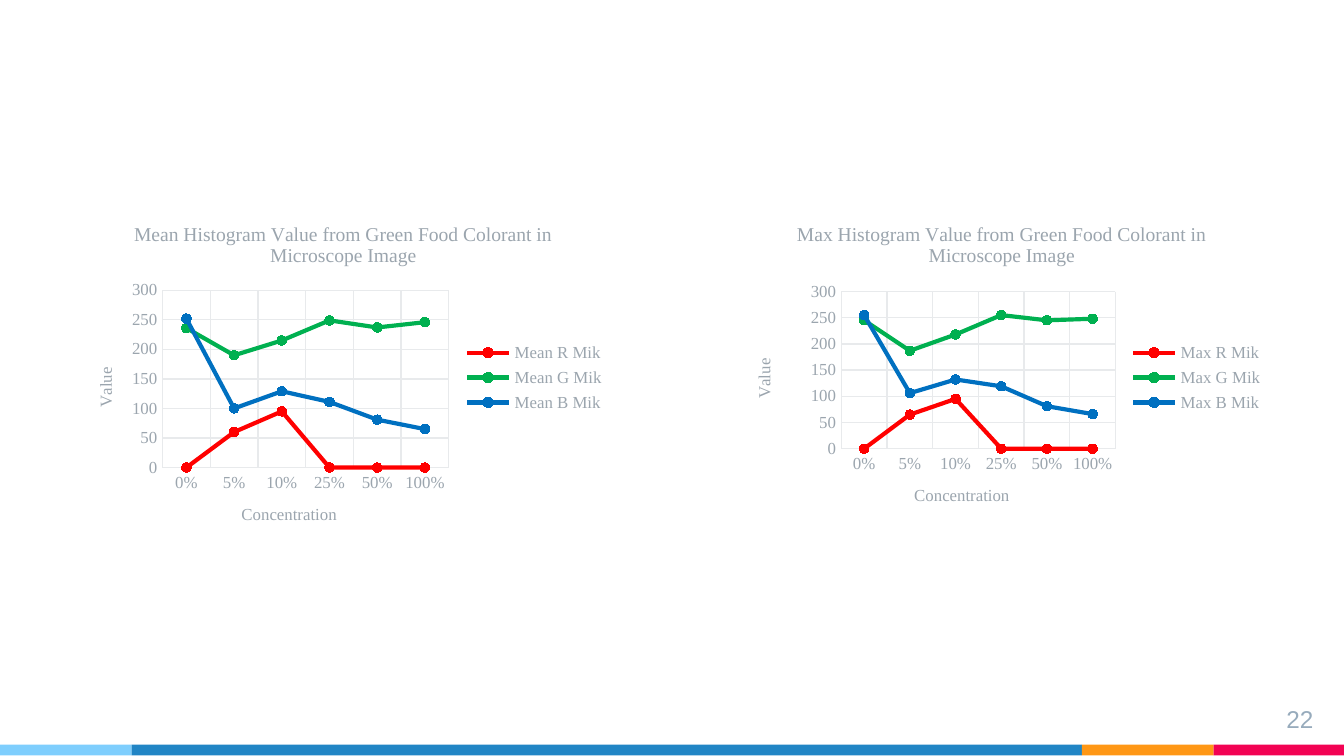
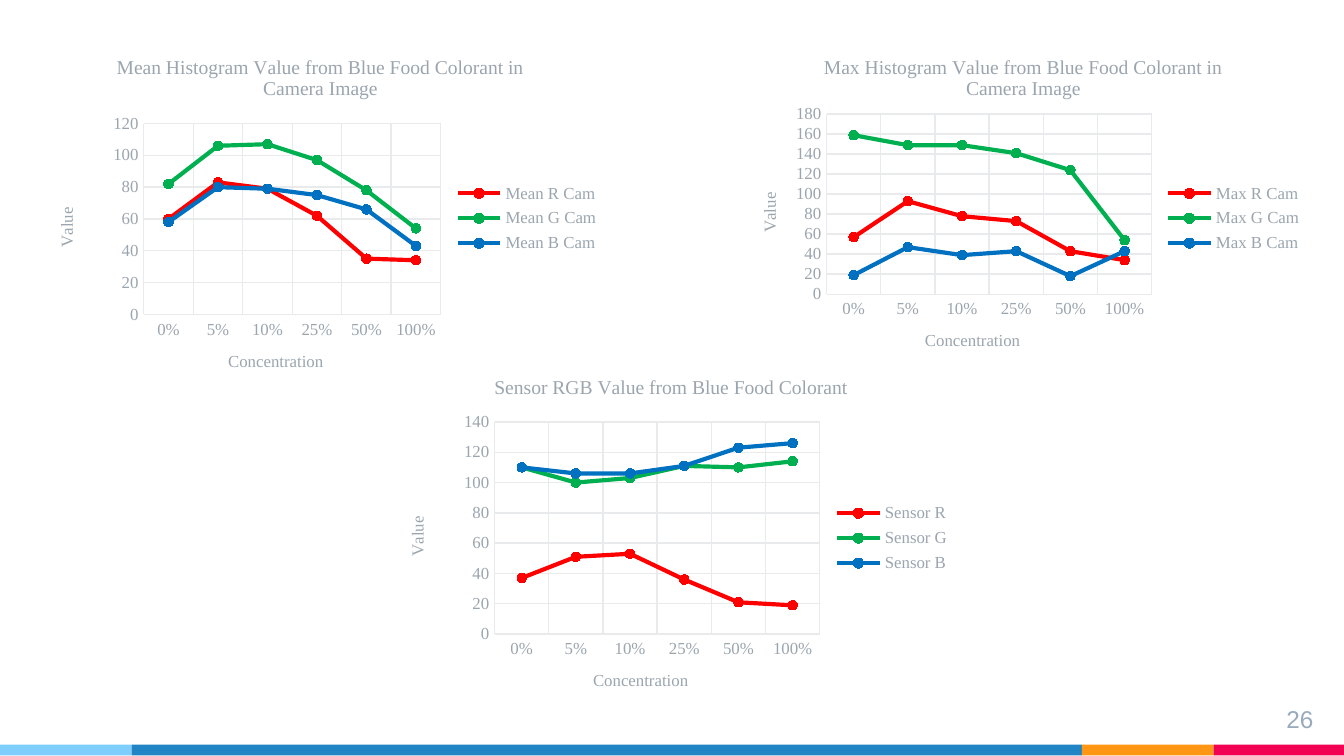
from pptx import Presentation
from pptx.chart.data import CategoryChartData as ChartData
from pptx.dml.color import RGBColor
from pptx.enum.chart import (XL_CHART_TYPE as ChartType, XL_LEGEND_POSITION as LegendPosition,
                             XL_MARKER_STYLE as Marker, XL_TICK_MARK as Tick)
from pptx.enum.shapes import MSO_SHAPE as Shape
from pptx.enum.text import PP_ALIGN as Align
from pptx.oxml import parse_xml
from pptx.oxml.ns import nsdecls, qn
from pptx.util import Inches, Pt

COLORS = {"sky": "7ECEFD", "blue": "2185C5", "orange": "FF9715", "pink": "F20253",
          "number": "97ABBC", "base": "677480", "label": "9BA5AE", "grid": "E8EAEC"}
CHANNELS = {"R": "FF0000", "G": "00B050", "B": "0070C0"}
SERIF = "Times New Roman"
CONCENTRATIONS = [0, 0.05, 0.1, 0.25, 0.5, 1]
BANDS = [("sky", 0.98), ("blue", 7.07), ("orange", 0.98), ("pink", 0.97)]


def style(font, size=9, color=COLORS["label"], name=SERIF):
    font.size, font.name, font.bold = Pt(size), name, False
    font.color.rgb = RGBColor.from_string(color)


def lay_out(element, index, **fractions):
    """Give a chart part a fixed place, in fractions of the chart frame."""
    for old in element.findall(qn("c:layout")):
        element.remove(old)
    target = '<c:layoutTarget val="inner"/>' if "w" in fractions else ""
    modes = "".join(f'<c:{key}Mode val="edge"/>' for key in "xy")
    values = "".join(f'<c:{key} val="{value:.4f}"/>' for key, value in fractions.items())
    element.insert(index, parse_xml(
        f'<c:layout {nsdecls("c")}><c:manualLayout>{target}{modes}{values}'
        "</c:manualLayout></c:layout>"))


# Per chart: title, frame and plot area (inches on the page), distance of the
# value title from the plot, axis maximum and step, series name pattern, values
PAGES = [
    ("22", [
        ("Mean Histogram Value from Green Food Colorant in Microscope Image",
         (0.51, 1.52, 4.09, 2.58), (1.21, 2.16, 2.13, 1.32), 0.41, 300, 50, "Mean {} Mik",
         [(0, 60, 95, 0, 0, 0), (236, 190, 215, 249, 237, 246), (252, 100, 129, 111, 81, 65)]),
        ("Max Histogram Value from Green Food Colorant in Microscope Image",
         (5.41, 1.52, 4.09, 2.58), (6.26, 2.17, 2.04, 1.17), 0.56, 300, 50, "Max {} Mik",
         [(0, 65, 95, 0, 0, 0), (245, 187, 218, 255, 245, 248), (255, 106, 132, 119, 81, 66)]),
    ]),
    ("26", [
        ("Mean Histogram Value from Blue Food Colorant in Camera Image",
         (0.21, 0.28, 4.35, 2.69), (1.07, 0.92, 2.21, 1.42), 0.56, 120, 20, "Mean {} Cam",
         [(60, 83, 79, 62, 35, 34), (82, 106, 107, 97, 78, 54), (58, 80, 79, 75, 66, 43)]),
        ("Max Histogram Value from Blue Food Colorant in Camera Image",
         (5.44, 0.28, 4.35, 2.69), (6.15, 0.85, 2.42, 1.34), 0.41, 180, 20, "Max {} Cam",
         [(57, 93, 78, 73, 43, 34), (159, 149, 149, 141, 124, 54), (19, 47, 39, 43, 18, 43)]),
        ("Sensor RGB Value from Blue Food Colorant",
         (2.82, 2.66, 4.35, 2.69), (3.68, 3.14, 2.42, 1.58), 0.56, 140, 20, "Sensor {}",
         [(37, 51, 53, 36, 21, 19), (110, 100, 103, 111, 110, 114),
          (110, 106, 106, 111, 123, 126)]),
    ]),
]

deck = Presentation()
deck.slide_width = Inches(10)
deck.slide_height = deck.slide_width * 9 // 16

for number, charts in PAGES:
    page = deck.slides.add_slide(deck.slide_layouts[6])

    # Colour bands along the bottom edge
    band_left = 0
    for color, band_width in BANDS:
        band = page.shapes.add_shape(Shape.RECTANGLE, Inches(band_left), Inches(5.54),
                                     Inches(band_width), Inches(0.08))
        band.shadow.inherit = False
        band.fill.solid()
        band.fill.fore_color.rgb = RGBColor.from_string(COLORS[color])
        band.line.fill.background()
        band_left += band_width

    # Page number
    box = page.shapes.add_textbox(Inches(9.27), Inches(5.14), Inches(0.6), Inches(0.34))
    frame = box.text_frame
    frame.word_wrap = True
    frame.margin_left = frame.margin_right = Inches(0.1)
    frame.margin_top = frame.margin_bottom = Inches(0.1)
    para = frame.paragraphs[0]
    para.alignment = Align.RIGHT
    span = para.add_run()
    span.text = number
    style(span.font, 13, COLORS["number"], "Arial")

    for title, area, plot, value_gap, maximum, step, pattern, rows in charts:
        # Chart and data
        data = ChartData()
        data.categories = CONCENTRATIONS
        data.categories.number_format = "0%"
        for channel, values in zip(CHANNELS, rows):
            data.add_series(pattern.format(channel), values)
        chart = page.shapes.add_chart(ChartType.LINE_MARKERS,
                                      *[Inches(length) for length in area], data).chart
        style(chart.font, color=COLORS["base"])

        # Series
        for series, color in zip(chart.plots[0].series, CHANNELS.values()):
            rgb = RGBColor.from_string(color)
            series.smooth = False
            series.format.line.width = Pt(2.25)
            series.format.line.color.rgb = rgb
            series.marker.style, series.marker.size = Marker.CIRCLE, 5
            series.marker.format.fill.solid()
            series.marker.format.fill.fore_color.rgb = rgb
            series.marker.format.line.color.rgb = rgb

        # Legend
        chart.has_legend = True
        chart.legend.position = LegendPosition.RIGHT
        chart.legend.include_in_layout = False
        style(chart.legend.font)

        # Axes and titles
        category_axis, value_axis = chart.category_axis, chart.value_axis
        for axis in (category_axis, value_axis):
            axis.major_tick_mark = axis.minor_tick_mark = Tick.NONE
            style(axis.tick_labels.font)
            axis.has_major_gridlines = True
            grid = axis.major_gridlines.format.line
            grid.color.rgb, grid.width = RGBColor.from_string(COLORS["grid"]), Pt(0.75)
        category_axis.tick_labels.number_format = "0%"
        category_axis.tick_labels.number_format_is_linked = False
        category_axis.format.line.color.rgb = RGBColor.from_string(COLORS["grid"])
        category_axis.format.line.width = Pt(0.75)
        value_axis.format.line.fill.background()
        value_axis.minimum_scale, value_axis.maximum_scale = 0, maximum
        value_axis.major_unit = step
        for holder, text, size in ((chart.chart_title, title, 10.5),
                                   (category_axis.axis_title, "Concentration", 9),
                                   (value_axis.axis_title, "Value", 9)):
            span = holder.text_frame.paragraphs[0].add_run()
            span.text = text
            style(span.font, size)

        # Plot area, with the axis titles placed relative to it
        left, top, width, height = area
        x, y, w, h = plot[0] - left, plot[1] - top, plot[2], plot[3]
        lay_out(chart.plots[0]._element.getparent(), 0,
                x=x / width, y=y / height, w=w / width, h=h / height)
        lay_out(category_axis.axis_title._element, 1,
                x=(x + w / 2 - 0.5) / width, y=(y + h + 0.24) / height)
        lay_out(value_axis.axis_title._element, 1,
                x=(x - value_gap - 0.12) / width, y=(y + h / 2 - 0.11) / height)

deck.save("out.pptx")
